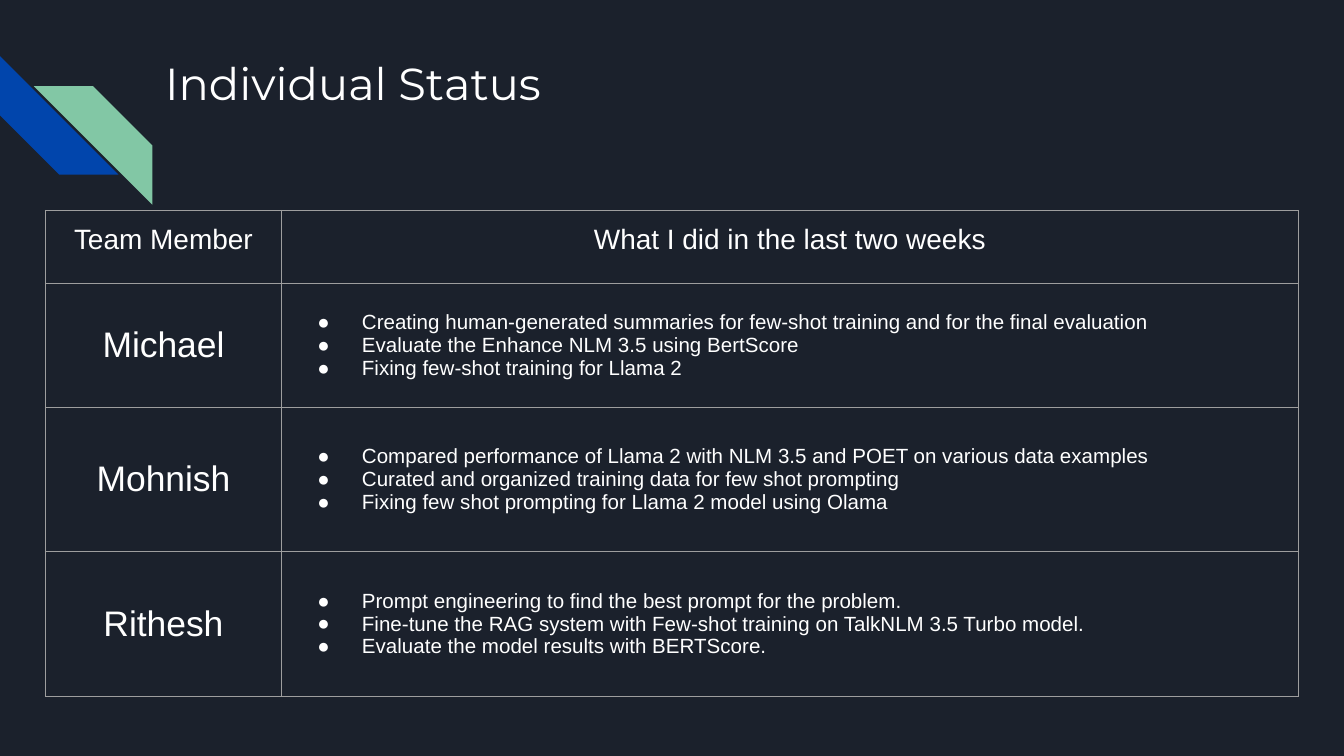
from lxml.etree import SubElement
from pptx import Presentation
from pptx.dml.color import RGBColor
from pptx.enum.shapes import MSO_SHAPE
from pptx.enum.text import MSO_ANCHOR, MSO_AUTO_SIZE, PP_ALIGN
from pptx.oxml.ns import qn
from pptx.util import Cm, Pt

INK = {"back": "1B212C", "text": "FFFFFF", "rule": "9E9E9E",
       "blue": "0145AC", "green": "82C7A5"}

TEAM = {
    "Michael": [
        "Creating human-generated summaries for few-shot training and for the final evaluation",
        "Evaluate the Enhance NLM 3.5 using BertScore",
        "Fixing few-shot training for Llama 2",
    ],
    "Mohnish": [
        "Compared performance of Llama 2 with NLM 3.5 and POET on various data examples",
        "Curated and organized training data for few shot prompting",
        "Fixing few shot prompting for Llama 2 model using Olama",
    ],
    "Rithesh": [
        "Prompt engineering to find the best prompt for the problem.",
        "Fine-tune the RAG system with Few-shot training on TalkNLM 3.5 Turbo model.",
        "Evaluate the model results with BERTScore.",
    ],
}


def tint(name):
    return RGBColor.from_string(INK[name])


def apply(item, form):
    for key, value in form.items():
        setattr(item, key, value)


class Deck:
    head = {"name": "Montserrat", "size": Pt(24)}
    label = {"name": "Arial", "size": Pt(15)}
    person = {"name": "Arial", "size": Pt(19)}
    note = {"name": "Arial", "size": Pt(11)}
    inset = {"margin_" + side: Cm(0.25) for side in ("left", "right", "top", "bottom")}

    def __init__(self, prs):
        self.slide = prs.slides.add_slide(prs.slide_layouts[5])
        fill = self.slide.background.fill
        fill.solid()
        fill.fore_color.rgb = tint("back")

    def words(self, para, text, form, align):
        para.alignment = align
        run = para.add_run()
        run.text = text
        apply(run.font, form)
        run.font.color.rgb = tint("text")

    def title(self, text, *box):
        shape = self.slide.shapes.title
        apply(shape, dict(zip(("left", "top", "width", "height"), box)))
        frame = shape.text_frame
        apply(frame, {**self.inset, "word_wrap": True,
                      "auto_size": MSO_AUTO_SIZE.NONE,
                      "vertical_anchor": MSO_ANCHOR.TOP})
        self.words(frame.paragraphs[0], text, self.head, PP_ALIGN.LEFT)

    def stripe(self, left, top, color, turn=0, flip=False):
        shape = self.slide.shapes.add_shape(
            MSO_SHAPE.DIAGONAL_STRIPE, left, top, Cm(2.24), Cm(2.24))
        shape.adjustments[0] = 0.5
        shape.rotation = turn
        if flip:
            shape._element.spPr.xfrm.set("flipH", "1")
        shape.shadow.inherit = False
        shape.fill.solid()
        shape.fill.fore_color.rgb = tint(color)
        shape.line.fill.background()

    def grid(self, left, top, cols, rows):
        table = self.slide.shapes.add_table(
            len(rows), len(cols), left, top, sum(cols), sum(rows)).table
        apply(table, {"first_row": False, "horz_banding": False})
        for col, width in zip(table.columns, cols):
            col.width = width
        for row, height in zip(table.rows, rows):
            row.height = height
        for cell in table.iter_cells():
            self.frame(cell)
        return table

    def frame(self, cell):
        apply(cell, self.inset)
        props = cell._tc.get_or_add_tcPr()
        for side in ("lnL", "lnR", "lnT", "lnB"):
            line = SubElement(props, qn("a:" + side), w=str(Pt(0.75)))
            fill = SubElement(line, qn("a:solidFill"))
            SubElement(fill, qn("a:srgbClr"), val=INK["rule"])
        cell.fill.solid()
        cell.fill.fore_color.rgb = tint("back")

    def center(self, cell, text, form, anchor):
        cell.vertical_anchor = anchor
        self.words(cell.text_frame.paragraphs[0], text, form, PP_ALIGN.CENTER)

    def bullets(self, cell, items):
        cell.vertical_anchor = MSO_ANCHOR.MIDDLE
        frame = cell.text_frame
        for i, text in enumerate(items):
            para = frame.add_paragraph() if i else frame.paragraphs[0]
            props = para._p.get_or_add_pPr()
            props.set("marL", str(Cm(1.27)))
            props.set("indent", str(-Cm(0.84)))
            color = SubElement(props, qn("a:buClr"))
            SubElement(color, qn("a:srgbClr"), val=INK["text"])
            SubElement(props, qn("a:buFont"), typeface="Arial")
            SubElement(props, qn("a:buChar"), char="●")
            self.words(para, text, self.note, PP_ALIGN.LEFT)


def main():
    prs = Presentation()
    apply(prs, {"slide_width": Cm(25.4), "slide_height": Cm(14.29)})
    deck = Deck(prs)

    # Corner stripes and title
    deck.stripe(Cm(0), Cm(1.06), "blue", turn=270)
    deck.stripe(Cm(0.64), Cm(1.63), "green", flip=True)
    deck.title("Individual Status", Cm(2.87), Cm(0.81), Cm(16), Cm(1.6))

    # Status table: heading row, then one row per member
    table = deck.grid(Cm(0.86), Cm(3.98), [Cm(4.46), Cm(19.22)],
                      [Cm(1.38), Cm(2.34), Cm(2.73), Cm(2.73)])
    for col, text in enumerate(("Team Member", "What I did in the last two weeks")):
        deck.center(table.cell(0, col), text, deck.label, MSO_ANCHOR.TOP)
    for row, (name, items) in enumerate(TEAM.items(), 1):
        deck.center(table.cell(row, 0), name, deck.person, MSO_ANCHOR.MIDDLE)
        deck.bullets(table.cell(row, 1), items)

    prs.save("out.pptx")


if __name__ == "__main__":
    main()
